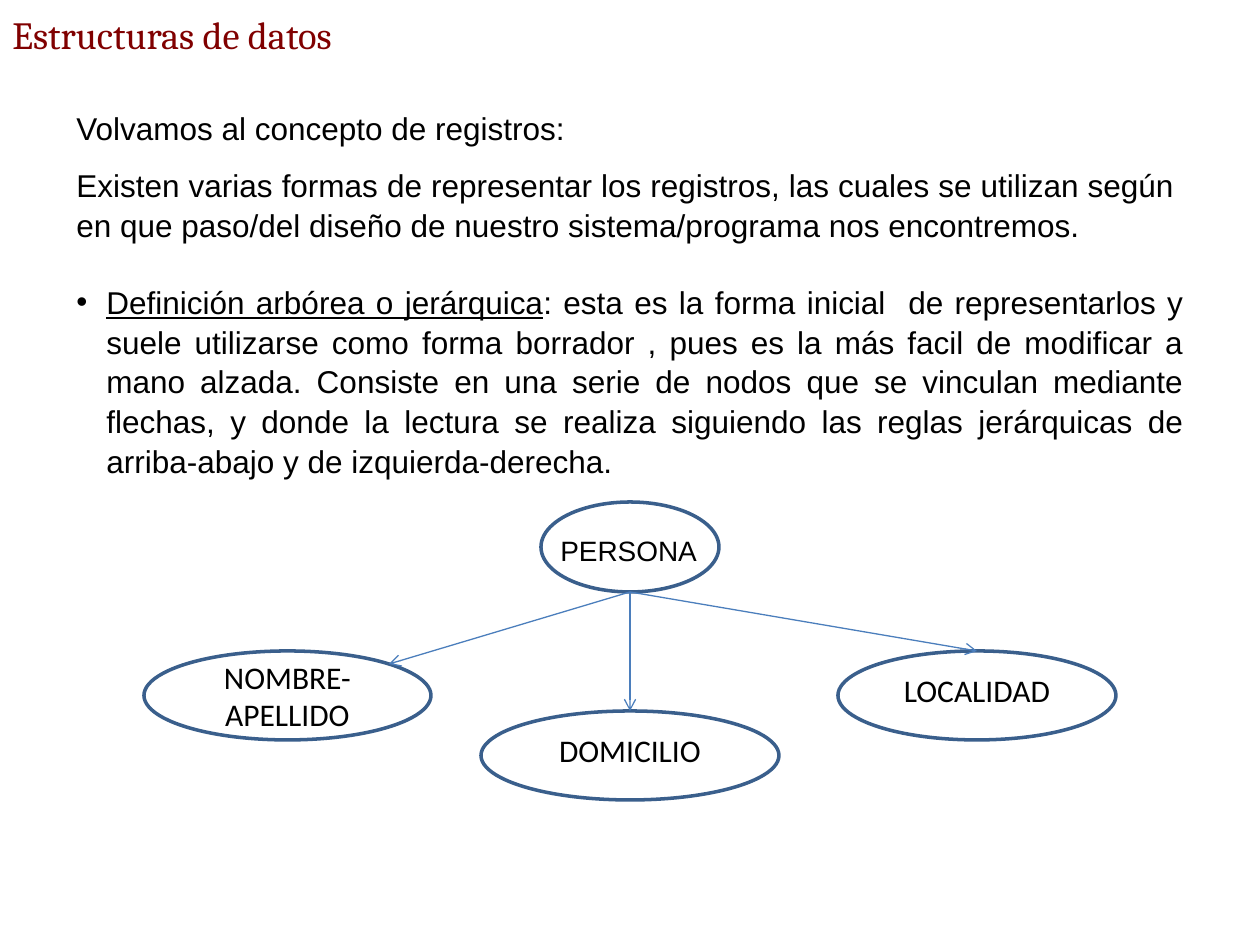
"""Build the slide on the tree form of a record."""
from dataclasses import dataclass
from typing import Any

from lxml import etree
from pptx import Presentation
from pptx import util as u
from pptx.dml.color import RGBColor as Rgb
from pptx.enum import shapes, text
from pptx.oxml import ns

SCALE = 914400 / 126
TIGHT = 0.65


@dataclass(frozen=True)
class Theme:
    ink: str = "000000"
    title: str = "800000"
    edge: str = "3A5F8C"
    arrow: str = "4B7EBC"
    head: int = 22
    body: int = 18
    small: int = 16
    rim: float = 2
    thin: float = 0.75


@dataclass(frozen=True)
class Box:
    left: int
    top: int
    wide: int
    high: int

    def emu(self) -> list[int]:
        return [px(n) for n in (self.left, self.top, self.wide, self.high)]


@dataclass(frozen=True)
class Node:
    label: str
    box: Box
    pitch: float = TIGHT


@dataclass(frozen=True)
class Link:
    node: int
    end: tuple[int, int]
    join: bool


THEME = Theme()
ROOT = Node("", Box(541, 502, 178, 90))
KIDS = [
    Node("NOMBRE-APELLIDO", Box(144, 651, 287, 89), 1.0),
    Node("DOMICILIO", Box(481, 711, 298, 89)),
    Node("LOCALIDAD", Box(838, 651, 278, 89)),
]
LINKS = [Link(0, (389, 664), False), Link(1, (630, 711), True), Link(2, (977, 651), True)]
INTRO = "Volvamos al concepto de registros:"
FORMS = ("Existen varias formas de representar los registros, las cuales se utilizan según  "
         "en que paso/del diseño de nuestro sistema/programa nos encontremos.")
TERM = "Definición arbórea o jerárquica"
GLOSS = (": esta es la forma inicial  de representarlos y suele utilizarse como forma borrador , "
         "pues es la más facil de modificar a mano alzada. Consiste en una serie de nodos que se "
         "vinculan mediante flechas, y donde la lectura se realiza siguiendo las reglas jerárquicas "
         "de arriba-abajo y de izquierda-derecha.")


def px(n: int) -> int:
    """Turn px into EMU."""
    return round(n * SCALE)


def style(item: Any, form: dict[str, Any]) -> None:
    """Set each format value on an item."""
    for key, value in form.items():
        setattr(item, key, value)


def write(para: Any, words: str, face: str, size: int, color: str, **more: Any) -> None:
    """Add one run of text to a paragraph."""
    run = para.add_run()
    run.text = words
    style(run.font, {"name": face, "size": u.Pt(size), **more})
    run.font.color.rgb = Rgb.from_string(color)


def frame(slide: Any, box: Box, **more: Any) -> Any:
    """Add a wrapped text box and return its frame."""
    body = slide.shapes.add_textbox(*box.emu()).text_frame
    style(body, {"word_wrap": True, **more})
    return body


def dot(para: Any, hang: int) -> None:
    """Give a paragraph a hanging bullet."""
    props = para._p.get_or_add_pPr()
    props.set("marL", str(px(hang)))
    props.set("indent", str(-px(hang)))
    etree.SubElement(props, ns.qn("a:buFont")).set("typeface", "Arial")
    etree.SubElement(props, ns.qn("a:buChar")).set("char", "•")


def prose(slide: Any) -> None:
    """Write the body paragraphs."""
    body = frame(slide, Box(64, 115, 1132, 474))
    rows = [([INTRO], TIGHT, 0), ([FORMS], 1.05, 10.5), ([TERM, GLOSS], 1.05, 21.5)]
    for i, (parts, pitch, gap) in enumerate(rows):
        para = body.add_paragraph() if i else body.paragraphs[0]
        style(para, {"alignment": text.PP_ALIGN.JUSTIFY, "line_spacing": pitch,
                     "space_before": u.Pt(gap)})
        if len(parts) > 1:
            dot(para, 30)
        for part in parts:
            write(para, part, "Arial", THEME.body, THEME.ink, underline=part == TERM)


def oval(slide: Any, node: Node) -> Any:
    """Draw one node of the tree."""
    shape = slide.shapes.add_shape(shapes.MSO_SHAPE.OVAL, *node.box.emu())
    shape.shadow.inherit = False
    shape.fill.background()
    shape.line.color.rgb = Rgb.from_string(THEME.edge)
    shape.line.width = u.Pt(THEME.rim)
    if node.label:
        style(shape.text_frame, {"word_wrap": True, "vertical_anchor": text.MSO_ANCHOR.MIDDLE})
        para = shape.text_frame.paragraphs[0]
        style(para, {"alignment": text.PP_ALIGN.CENTER, "line_spacing": node.pitch})
        write(para, node.label, "Calibri", THEME.body, THEME.ink)
    return shape


def arrow(slide: Any, link: Link, goal: Any) -> None:
    """Draw an arrow from the root to a node."""
    start = (ROOT.box.left + ROOT.box.wide // 2, ROOT.box.top + ROOT.box.high)
    ends = [px(n) for n in (*start, *link.end)]
    line = slide.shapes.add_connector(shapes.MSO_CONNECTOR.STRAIGHT, *ends)
    if link.join:
        line.end_connect(goal, 0)
    line.line.color.rgb = Rgb.from_string(THEME.arrow)
    line.line.width = u.Pt(THEME.thin)
    etree.SubElement(line.line._get_or_add_ln(), ns.qn("a:tailEnd")).set("type", "arrow")
    etree.SubElement(line._element.spPr, ns.qn("a:effectLst"))


def main() -> None:
    """Build and save the slide."""
    deck = Presentation()
    style(deck, {"slide_width": u.Inches(10), "slide_height": u.Inches(7.5)})
    slide = deck.slides.add_slide(deck.slide_layouts[6])
    head = frame(slide, Box(0, 0, 1257, 68), vertical_anchor=text.MSO_ANCHOR.MIDDLE)
    write(head.paragraphs[0], "Estructuras de datos", "Cambria", THEME.head, THEME.title)
    prose(slide)
    oval(slide, ROOT)
    name = frame(slide, Box(548, 538, 181, 34)).paragraphs[0]
    name.line_spacing = TIGHT
    write(name, "PERSONA", "Arial", THEME.small, THEME.ink)
    kids = [oval(slide, kid) for kid in KIDS]
    for link in LINKS:
        arrow(slide, link, kids[link.node])
    deck.save("out.pptx")


if __name__ == "__main__":
    main()
